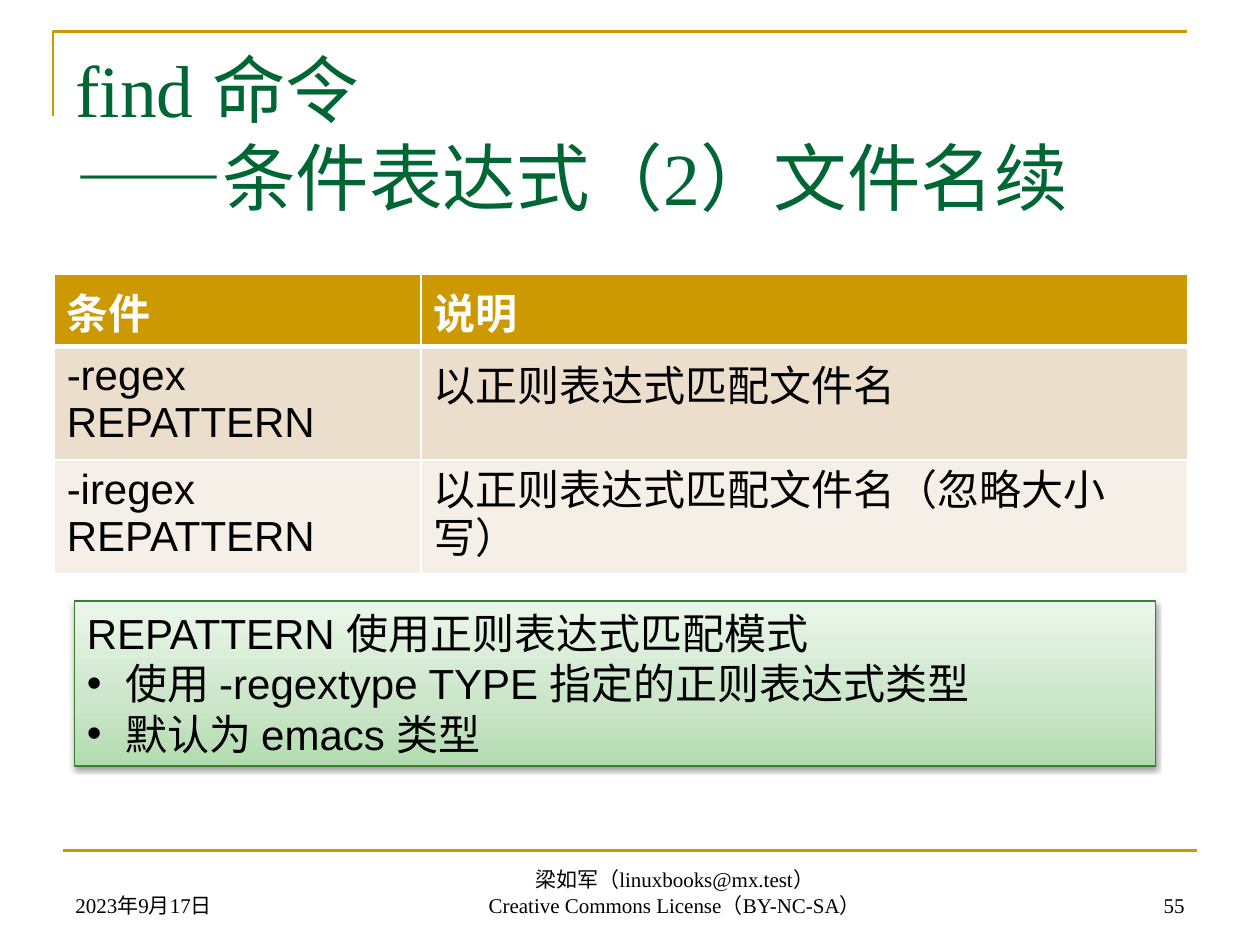
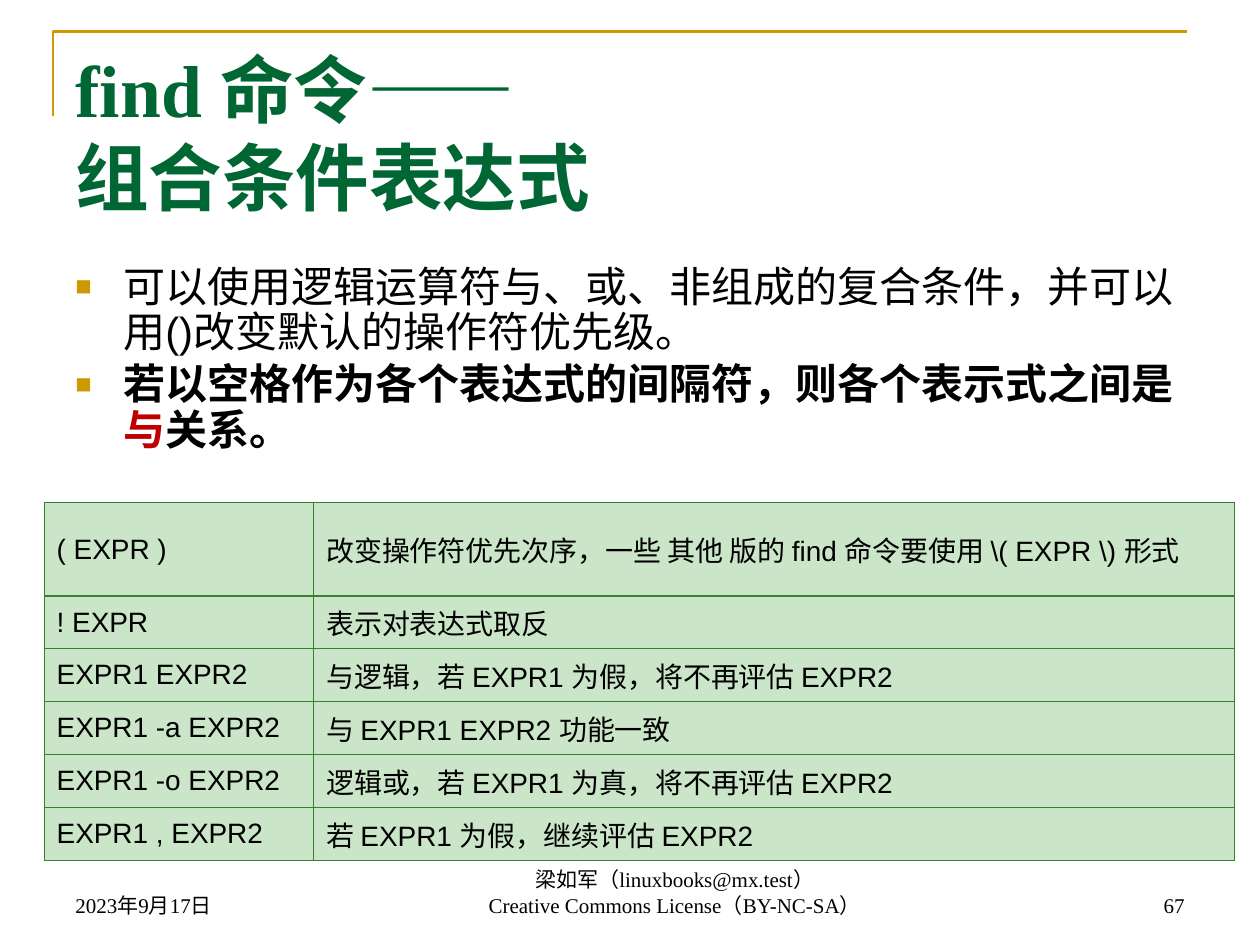
from dataclasses import dataclass

from lxml.etree import SubElement
from pptx import Presentation
from pptx.dml.color import RGBColor
from pptx.enum.shapes import MSO_CONNECTOR, MSO_SHAPE
from pptx.enum.text import MSO_ANCHOR, PP_ALIGN
from pptx.oxml import parse_xml
from pptx.oxml.ns import nsdecls, qn
from pptx.util import Inches, Pt


@dataclass(frozen=True)
class Theme:
    gold: str = "CC9900"
    title_green: str = "006633"
    line_green: str = "38802C"
    pale_green: str = "CAE5C8"
    top_green: str = "EBF6EA"
    bottom_green: str = "B3DBB0"
    sand: str = "ECDECC"
    light_sand: str = "F6EFE7"
    red: str = "C00000"
    black: str = "000000"
    white: str = "FFFFFF"
    serif: str = "Times New Roman"
    sans: str = "Arial"
    title_size: int = 42
    body_size: int = 24
    cell_size: int = 16
    footer_size: int = 12


THEME = Theme()
TITLE_BOX = (0.5, 0.3, 9, 1.25)
FOOTER_BOX = (0.5, 6.83, 9, 0.5)
HANGING = 0.38


def color(value):
    return RGBColor.from_string(value)


def inches(box):
    return [Inches(length) for length in box]


def style(paragraph, name, size, value=THEME.black, bold=False):
    font = paragraph.font
    font.name, font.size, font.bold = name, Pt(size), bold
    font.color.rgb = color(value)


def hang(paragraph, indent):
    properties = paragraph._p.get_or_add_pPr()
    properties.set("marL", str(Inches(indent)))
    properties.set("indent", str(-Inches(indent)))
    return properties


def add_bullet(paragraph, character, indent, value=THEME.black, percent=100):
    """Must run before the paragraph font is set, to keep the element order."""
    properties = hang(paragraph, indent)
    bullet_color = SubElement(properties, qn("a:buClr"))
    SubElement(bullet_color, qn("a:srgbClr"), val=value)
    SubElement(properties, qn("a:buSzPct"), val=str(percent * 1000))
    SubElement(properties, qn("a:buFont"), typeface=THEME.sans)
    SubElement(properties, qn("a:buChar"), char=character)


def add_text(slide, box, lines, name, size, value=THEME.black, bold=False,
             align=PP_ALIGN.LEFT, anchor=MSO_ANCHOR.TOP):
    frame = slide.shapes.add_textbox(*inches(box)).text_frame
    frame.word_wrap = True
    frame.vertical_anchor = anchor
    frame.text = lines
    for paragraph in frame.paragraphs:
        paragraph.alignment = align
        style(paragraph, name, size, value, bold)


def set_borders(cell, value, widths):
    """Widths are in points: left, right, top, bottom."""
    properties = cell._tc.get_or_add_tcPr()
    for side, width in zip("LRTB", widths):
        line = SubElement(properties, qn(f"a:ln{side}"), w=str(Pt(width)))
        fill = SubElement(line, qn("a:solidFill"))
        SubElement(fill, qn("a:srgbClr"), val=value)


def add_grid(slide, box, columns, heights, rows):
    """Add a table without banding and return it filled with text."""
    shape = slide.shapes.add_table(len(rows), len(columns), *inches(box))
    table = shape.table
    table.first_row = table.horz_banding = False
    for column, width in zip(table.columns, columns):
        column.width = Inches(width)
    for row, height, texts in zip(table.rows, heights, rows):
        row.height = Inches(height)
        for cell, text in zip(row.cells, texts):
            cell.text = text
    return table


# Shared parts: corner rule, footer rule, title and footers
def add_frame(slide, title, number, bold=False):
    builder = slide.shapes.build_freeform(Inches(0.42), Inches(0.92))
    builder.add_line_segments(
        [(Inches(0.42), Inches(0.25)), (Inches(9.42), Inches(0.25))], close=False)
    corner = builder.convert_to_shape()
    corner.shadow.inherit = False
    corner.fill.background()

    left, top, width, height = FOOTER_BOX
    rule = slide.shapes.add_connector(
        MSO_CONNECTOR.STRAIGHT, *inches((left, 6.75, left + width, 6.75)))
    SubElement(rule._element.spPr, qn("a:effectLst"))
    for line in (corner.line, rule.line):
        line.color.rgb = color(THEME.gold)
        line.width = Pt(1.5)

    add_text(slide, TITLE_BOX, title, THEME.serif, THEME.title_size,
             THEME.title_green, bold)

    side = 2.33
    credit = "梁如军（linuxbooks@mx.test）\nCreative Commons License（BY-NC-SA）"
    footers = [
        ((left, top, side, height), "2023年9月17日", PP_ALIGN.LEFT),
        ((2.4, top, 5.91, height), credit, PP_ALIGN.CENTER),
        ((left + width - side, top, side, height), number, PP_ALIGN.RIGHT),
    ]
    for box, text, align in footers:
        add_text(slide, box, text, THEME.serif, THEME.footer_size,
                 align=align, anchor=MSO_ANCHOR.BOTTOM)


# Slide 1: table of file name conditions
def add_condition_table(slide, box):
    rows = [
        ("条件", "说明"),
        ("-regex REPATTERN", "以正则表达式匹配文件名"),
        ("-iregex REPATTERN", "以正则表达式匹配文件名（忽略大小写）"),
    ]
    table = add_grid(slide, box, (2.91, 6.09), (0.57, 0.85, 0.86), rows)
    fills = (THEME.gold, THEME.sand, THEME.light_sand)
    for index, (row, fill) in enumerate(zip(table.rows, fills)):
        header = index == 0
        top, bottom = (3 if index == 1 else 1), (3 if header else 1)
        for cell in row.cells:
            set_borders(cell, THEME.white, (1, 1, top, bottom))
            cell.fill.solid()
            cell.fill.fore_color.rgb = color(fill)
            style(cell.text_frame.paragraphs[0], THEME.sans, THEME.body_size,
                  THEME.white if header else THEME.black, header)
    table.cell(2, 1).text_frame.paragraphs[0].line_spacing = 0.8


# Slide 1: shaded note about the pattern type
def add_pattern_note(slide, box):
    note = slide.shapes.add_shape(MSO_SHAPE.RECTANGLE, *inches(box))
    note.line.color.rgb = color(THEME.line_green)
    note.line.width = Pt(0.75)
    stops = ((0, THEME.bottom_green), (35, THEME.pale_green), (100, THEME.top_green))
    stop_xml = "".join(
        f'<a:gs pos="{position * 1000}"><a:srgbClr val="{value}"/></a:gs>'
        for position, value in stops)
    properties = note._element.spPr
    properties.find(qn("a:ln")).addprevious(parse_xml(
        f'<a:gradFill {nsdecls("a")} rotWithShape="1"><a:gsLst>{stop_xml}</a:gsLst>'
        '<a:lin ang="16200000" scaled="0"/></a:gradFill>'))
    properties.append(parse_xml(
        f'<a:effectLst {nsdecls("a")}>'
        f'<a:outerShdw blurRad="{Pt(3.1)}" dist="{Pt(1.6)}" dir="5400000" rotWithShape="0">'
        f'<a:srgbClr val="{THEME.black}"><a:alpha val="38000"/></a:srgbClr>'
        '</a:outerShdw></a:effectLst>'))

    frame = note.text_frame
    frame.word_wrap = True
    frame.vertical_anchor = MSO_ANCHOR.TOP
    frame.text = ("REPATTERN 使用正则表达式匹配模式\n"
                  "使用 -regextype TYPE 指定的正则表达式类型\n"
                  "默认为 emacs 类型")
    for index, paragraph in enumerate(frame.paragraphs):
        paragraph.alignment = PP_ALIGN.LEFT
        if index:
            add_bullet(paragraph, "•", 0.31)
        style(paragraph, THEME.sans, THEME.body_size)


# Slide 2: bulleted rules for combining conditions
def add_rules(slide, box):
    frame = slide.shapes.add_textbox(*inches(box)).text_frame
    frame.word_wrap = True
    rules = [
        (False, ["可以使用逻辑运算符与、或、非组成的复合条件，"
                 "并可以用()改变默认的操作符优先级。"]),
        (True, ["若以空格作为各个表达式的间隔符，则各个表示式之间是",
                "与", "关系。"]),
    ]
    for index, (bold, parts) in enumerate(rules):
        paragraph = frame.add_paragraph() if index else frame.paragraphs[0]
        add_bullet(paragraph, "■", HANGING, THEME.gold, 65)
        style(paragraph, THEME.sans, THEME.body_size, bold=bold)
        paragraph.line_spacing = 0.9
        paragraph.space_before = Pt(4)
        for part in parts:
            run = paragraph.add_run()
            run.text = part
            if part == "与":
                run.font.color.rgb = color(THEME.red)


# Slide 2: table of logical operators
def add_operator_table(slide, box):
    rows = [
        ("( EXPR )", "改变操作符优先次序，一些 其他 版的 find 命令要使用 \\( EXPR \\) 形式"),
        ("! EXPR", "表示对表达式取反"),
        ("EXPR1 EXPR2", "与逻辑，若 EXPR1 为假，将不再评估 EXPR2"),
        ("EXPR1 -a EXPR2", "与 EXPR1 EXPR2 功能一致"),
        ("EXPR1 -o EXPR2", "逻辑或，若 EXPR1 为真，将不再评估 EXPR2"),
        ("EXPR1 , EXPR2", "若 EXPR1 为假，继续评估 EXPR2"),
    ]
    heights = [0.74] + [0.42] * (len(rows) - 1)
    table = add_grid(slide, box, (2.14, 7.31), heights, rows)
    for cell in table.iter_cells():
        set_borders(cell, THEME.line_green, [0.75] * 4)
        cell.fill.solid()
        cell.fill.fore_color.rgb = color(THEME.pale_green)
        cell.vertical_anchor = MSO_ANCHOR.MIDDLE
        paragraph = cell.text_frame.paragraphs[0]
        hang(paragraph, HANGING)
        style(paragraph, THEME.sans, THEME.cell_size)


def build_file_name_slide(slide):
    add_frame(slide, "find 命令\v——条件表达式（2）文件名续", "55")
    add_condition_table(slide, (0.43, 2.18, 9, 2.28))
    add_pattern_note(slide, (0.59, 4.77, 8.58, 1.31))


def build_combination_slide(slide):
    add_frame(slide, "find 命令——\v组合条件表达式", "67", bold=True)
    add_rules(slide, (0.5, 2.06, 9.22, 1.61))
    add_operator_table(slide, (0.35, 3.99, 9.45, 2.84))


def main():
    presentation = Presentation()
    presentation.slide_width, presentation.slide_height = Inches(10), Inches(7.5)
    blank = presentation.slide_layouts[6]
    for build in (build_file_name_slide, build_combination_slide):
        build(presentation.slides.add_slide(blank))
    presentation.save("out.pptx")


if __name__ == "__main__":
    main()
